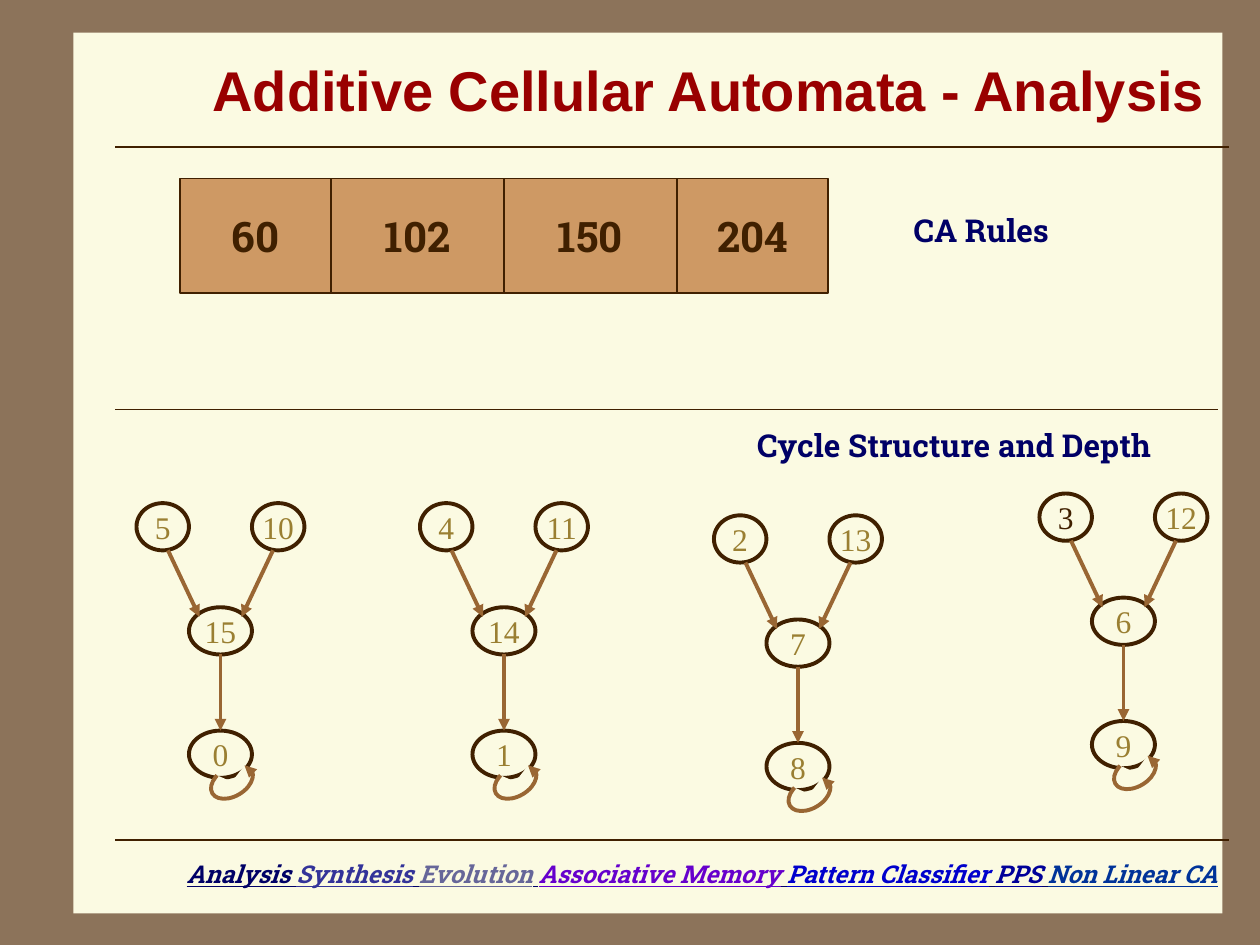
from lxml import etree
from pptx import Presentation
from pptx.dml.color import RGBColor
from pptx.enum.shapes import MSO_CONNECTOR, MSO_SHAPE
from pptx.enum.text import MSO_ANCHOR, PP_ALIGN
from pptx.oxml.ns import qn
from pptx.util import Pt

STRAIGHT = MSO_CONNECTOR.STRAIGHT
RECTANGLE, OVAL, ARC = MSO_SHAPE.RECTANGLE, MSO_SHAPE.OVAL, MSO_SHAPE.ARC
LEFT, CENTER, RIGHT = PP_ALIGN.LEFT, PP_ALIGN.CENTER, PP_ALIGN.RIGHT
TOP, MIDDLE = MSO_ANCHOR.TOP, MSO_ANCHOR.MIDDLE
color = RGBColor.from_string
CREAM, BROWN, TAN, ARROW = "FBFAE2", "402000", "CE9964", "996633"
NAVY, OLIVE = "000066", "9A7F32"
SLAB, SERIF = "Roboto Slab", "Times New Roman"


def write(box, text, size=18, font=SLAB, tint=NAVY, bold=False, italic=False,
          underline=False, align=LEFT, anchor=TOP, wrap=False):
    frame = box.text_frame
    frame.word_wrap = wrap
    frame.vertical_anchor = anchor
    para = frame.paragraphs[0]
    para.alignment = align
    span = para.add_run()
    span.text = text
    span.font.size = Pt(size)
    span.font.name = font
    span.font.bold = bold
    span.font.italic = italic
    span.font.underline = underline
    span.font.color.rgb = color(tint)


def draw_line(shapes, x1, y1, x2, y2, tint=BROWN, width=1, arrow=False):
    line = shapes.add_connector(STRAIGHT, Pt(x1), Pt(y1), Pt(x2), Pt(y2))
    line.line.color.rgb = color(tint)
    line.line.width = Pt(width)
    if arrow:
        etree.SubElement(line.line._get_or_add_ln(), qn("a:tailEnd"), type="triangle")
    etree.SubElement(line._element.spPr, qn("a:effectLst"))


deck = Presentation()
deck.slide_width, deck.slide_height = Pt(720), Pt(540)
page = deck.slides.add_slide(deck.slide_layouts[5])
page.background.fill.solid()
page.background.fill.fore_color.rgb = color("8C735A")

panel = page.shapes.add_shape(RECTANGLE, Pt(42), Pt(18.7), Pt(656.5), Pt(503.3))
panel.shadow.inherit = False
panel.fill.solid()
panel.fill.fore_color.rgb = color(CREAM)
panel.line.fill.background()

for y in (84, 480):
    draw_line(page.shapes, 66, y, 702, y)

topics = (("Analysis ", NAVY), ("Synthesis", "333399"), (" ", NAVY),
          ("Evolution", "666699"), (" ", NAVY), ("Associative Memory", "6600CC"),
          (" ", NAVY), ("Pattern Classifier", "0000CC"), (" ", NAVY),
          ("PPS", "000099"), (" ", NAVY), ("Non Linear CA", "003399"))
footer = page.shapes.add_textbox(Pt(43), Pt(487.5), Pt(660), Pt(41))
for topic, tint in topics:
    write(footer, topic, size=14, tint=tint, bold=True, italic=True,
          underline=True, align=RIGHT, wrap=True)

title = page.shapes.title
title.left, title.top, title.width, title.height = Pt(78), Pt(12), Pt(618), Pt(78)
page.shapes._spTree.append(title._element)
write(title, "Additive Cellular Automata - Analysis", size=32, font="Arial",
      tint="990000", bold=True, align=RIGHT, anchor=MIDDLE, wrap=True)

rules = page.shapes.add_group_shape().shapes
x = 102.75
for rule, width in (("60", 86.5), ("102", 98.75), ("150", 98.75), ("204", 86.5)):
    cell = rules.add_shape(RECTANGLE, Pt(x), Pt(102), Pt(width), Pt(65.5))
    cell.shadow.inherit = False
    cell.fill.solid()
    cell.fill.fore_color.rgb = color(TAN)
    cell.line.color.rgb = color(BROWN)
    cell.line.width = Pt(1)
    number = rules.add_textbox(Pt(x + 15.75), Pt(108.25), Pt(width - 31.5), Pt(52.5))
    write(number, rule, size=24, tint=BROWN, bold=True, align=CENTER, anchor=MIDDLE)
    x += width

for caption, x, y, width in (("CA Rules", 515, 117, 98.5),
                             ("Cycle Structure and Depth", 425.5, 240, 264)):
    label = page.shapes.add_textbox(Pt(x), Pt(y), Pt(width), Pt(29))
    write(label, caption, bold=True)

NODES = ((0, 0, 30), (30, 59.5, 36), (66, 0, 30), (30, 130, 36))
EDGES = ((18, 27, 36, 65), (78, 27, 60, 65), (48, 86.5, 48, 130))
ADJUSTMENT_PER_DEGREE = 0.6
trees = ((78, 287.5, ("5", "15", "10", "0")),
         (240, 287.5, ("4", "14", "11", "1")),
         (408, 294.5, ("2", "7", "13", "8")),
         (594, 282, ("3", "6", "12", "9")))
graph = page.shapes.add_group_shape().shapes
for left, top, states in trees:
    for state, (x, y, width) in zip(states, NODES):
        node = graph.add_shape(OVAL, Pt(left + x), Pt(top + y), Pt(width), Pt(27))
        node.shadow.inherit = False
        node.fill.solid()
        node.fill.fore_color.rgb = color(CREAM)
        node.line.color.rgb = color(BROWN)
        node.line.width = Pt(2.25)
        write(node, state, font=SERIF, tint=BROWN if state == "3" else OLIVE,
              align=CENTER, anchor=MIDDLE)
    for x1, y1, x2, y2 in EDGES:
        draw_line(graph, left + x1, top + y1, left + x2, top + y2,
                  tint=ARROW, width=2.25, arrow=True)
    loop = graph.add_shape(ARC, Pt(left + 41.5), Pt(top + 151), Pt(26), Pt(16.5))
    loop.adjustments[0] = 158 * ADJUSTMENT_PER_DEGREE
    loop.adjustments[1] = 54 * ADJUSTMENT_PER_DEGREE
    loop.rotation = 149.5
    loop.shadow.inherit = False
    loop.fill.solid()
    loop.fill.fore_color.rgb = color(CREAM)
    loop.line.color.rgb = color(ARROW)
    loop.line.width = Pt(2.25)
    etree.SubElement(loop.line._get_or_add_ln(), qn("a:headEnd"), type="triangle")

draw_line(page.shapes, 66, 234, 696, 234)

deck.save("out.pptx")
